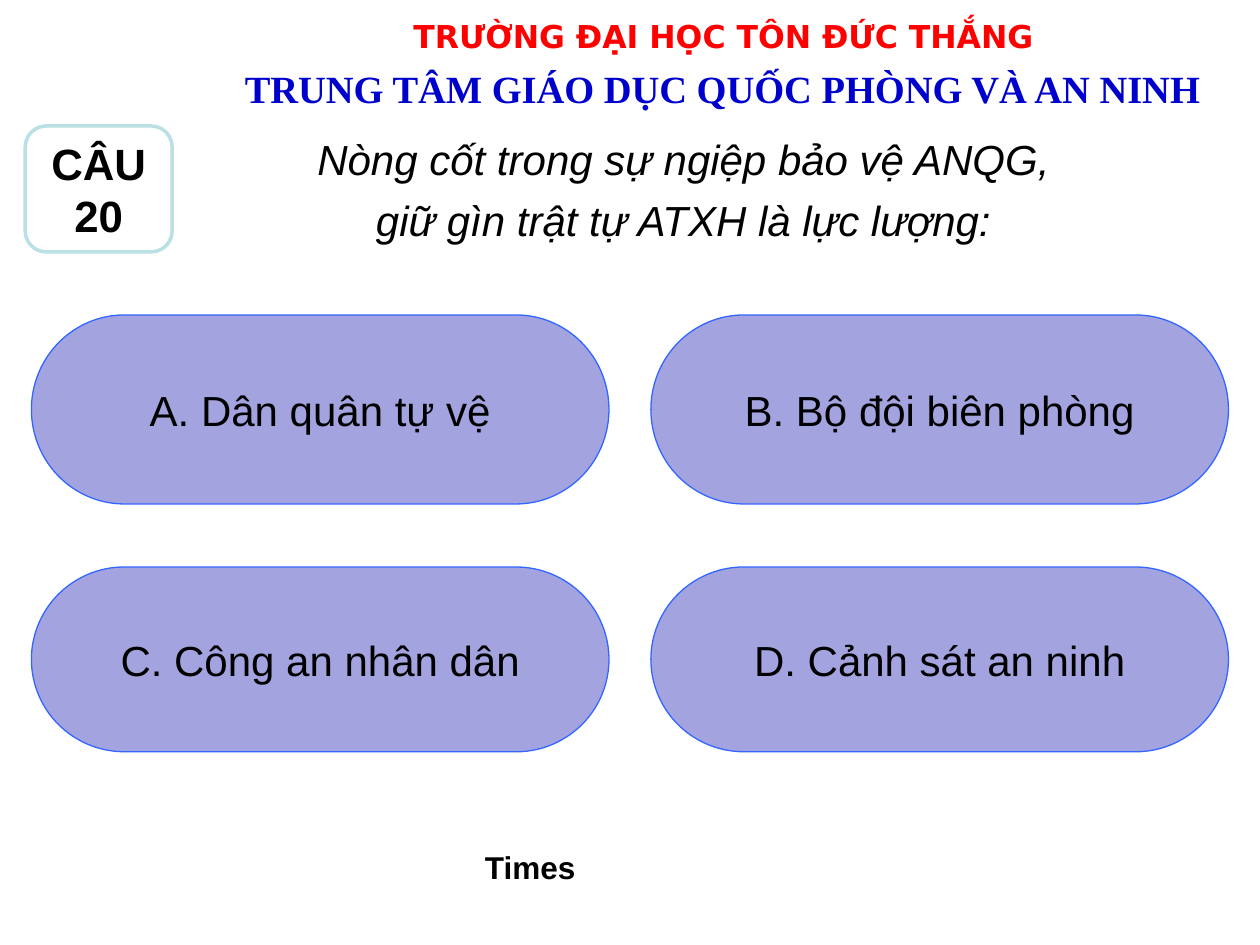
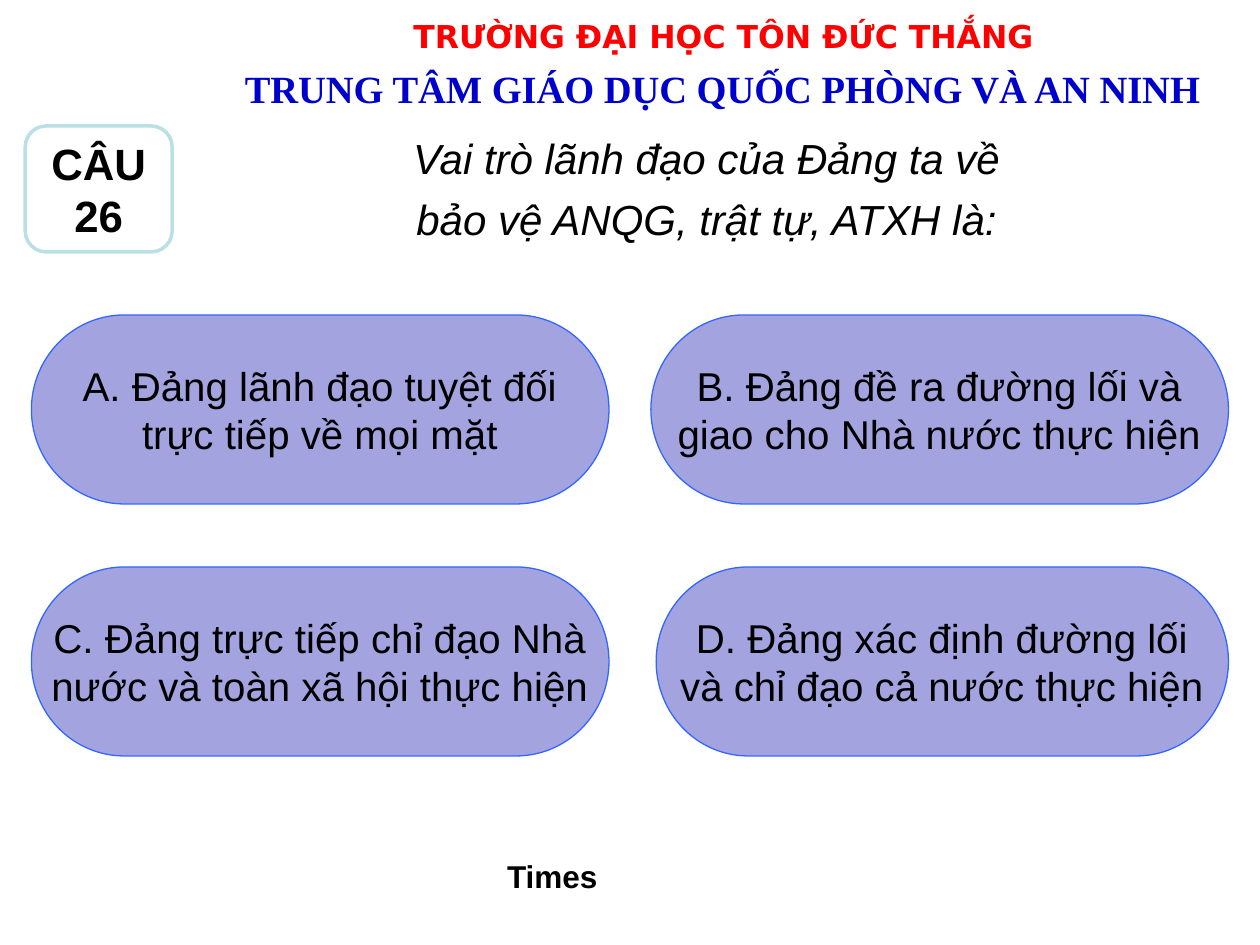
from dataclasses import dataclass

from pptx import Presentation
from pptx.dml.color import RGBColor
from pptx.enum.shapes import MSO_SHAPE
from pptx.enum.text import MSO_ANCHOR, MSO_AUTO_SIZE, PP_ALIGN
from pptx.util import Inches, Pt


@dataclass(frozen=True)
class Theme:
    black: str = "000000"
    white: str = "FFFFFF"
    red: str = "FF0000"
    navy: str = "0000CC"
    lavender: str = "A3A3E0"
    azure: str = "3366FF"
    mint: str = "BBE0E3"
    sans: str = "Arial"
    serif: str = "Times New Roman"
    banner: str = "DejaVu Sans"
    school_size: int = 18
    centre_size: int = 22
    question_size: int = 24
    badge_size: int = 25
    timer_size: int = 18


THEME = Theme()

deck = Presentation()
deck.slide_width, deck.slide_height = Inches(10), Inches(7.5)
COLUMN = deck.slide_width / 120
ROW = deck.slide_height / 90


def place(shape, left, top, width, height):
    shape.left, shape.width = round(left * COLUMN), round(width * COLUMN)
    shape.top, shape.height = round(top * ROW), round(height * ROW)


def write(shape, lines, size, color=THEME.black, font=THEME.sans, bold=False,
          italic=False, wrap=False, anchor=MSO_ANCHOR.TOP, gap=0):
    frame = shape.text_frame
    frame.text = "\n".join(lines)
    frame.auto_size = MSO_AUTO_SIZE.NONE
    frame.word_wrap = wrap
    frame.vertical_anchor = anchor
    for index, para in enumerate(frame.paragraphs):
        para.alignment = PP_ALIGN.CENTER
        para.space_before = Pt(gap if index else 0)
        for span in para.runs:
            span.font.name = font
            span.font.size = Pt(size)
            span.font.bold = bold
            span.font.italic = italic
            span.font.color.rgb = RGBColor.from_string(color)


quizzes = [
    {
        "number": "20",
        "question": ["Nòng cốt trong sự ngiệp bảo vệ ANQG,",
                     "giữ gìn trật tự ATXH là lực lượng:"],
        "question_area": (17.6, 12.1, 95, 11.9),
        "answers": [["A. Dân quân tự vệ"], ["B. Bộ đội biên phòng"],
                    ["C. Công an nhân dân"], ["D. Cảnh sát an ninh"]],
        "answer_size": 24,
        "row_heights": (18, 17.6),
        "last_left": 62,
        "timer_area": (44, 80.2, 13, 4.8),
    },
    {
        "number": "26",
        "question": ["Vai trò lãnh đạo của Đảng ta về",
                     "bảo vệ ANQG, trật tự, ATXH là:"],
        "question_area": (21.8, 12, 91, 11.9),
        "answers": [["A. Đảng lãnh đạo tuyệt đối", "trực tiếp về mọi mặt"],
                    ["B. Đảng đề ra đường lối và", "giao cho Nhà nước thực hiện"],
                    ["C. Đảng trực tiếp chỉ đạo Nhà", "nước và toàn xã hội thực hiện"],
                    ["D. Đảng xác định đường lối", "và chỉ đạo cả nước thực hiện"]],
        "answer_size": 23,
        "row_heights": (18, 18),
        "last_left": 62.5,
        "timer_area": (46, 81, 13.2, 4.8),
    },
]

pages = [deck.slides.add_slide(deck.slide_layouts[5]) for quiz in quizzes]

headers = [
    ("TRƯỜNG ĐẠI HỌC TÔN ĐỨC THẮNG", (24.4, 1, 89, 4),
     THEME.school_size, THEME.red, THEME.banner),
    ("TRUNG TÂM GIÁO DỤC QUỐC PHÒNG VÀ AN NINH", (20.8, 5.6, 96, 3.8),
     THEME.centre_size, THEME.navy, THEME.serif),
]
for index, (line, area, size, color, font) in enumerate(headers):
    header = pages[0].shapes.add_textbox(0, 0, 0, 0)
    place(header, *area)
    write(header, [line], size, color, font, bold=True)
    header.element.nvSpPr.cNvPr.set("id", str(20 + index))
    deck.slide_master.shapes.element.append(header.element)

for page, quiz in zip(pages, quizzes):
    question = page.shapes.title
    place(question, *quiz["question_area"])
    write(question, quiz["question"], THEME.question_size, italic=True, wrap=True, gap=6)

    for index, answer in enumerate(quiz["answers"]):
        row, column = divmod(index, 2)
        left = quiz["last_left"] if index == 3 else 3 + 59 * column
        right = 58 + 59 * column
        pill = page.shapes.add_shape(MSO_SHAPE.FLOWCHART_TERMINATOR, 0, 0, 0, 0)
        place(pill, left, 30 + 24 * row, right - left, quiz["row_heights"][row])
        pill.shadow.inherit = False
        pill.fill.solid()
        pill.fill.fore_color.rgb = RGBColor.from_string(THEME.lavender)
        pill.line.color.rgb = RGBColor.from_string(THEME.azure)
        pill.line.width = Pt(0.75)
        write(pill, answer, quiz["answer_size"], anchor=MSO_ANCHOR.MIDDLE)

    timer = page.shapes.add_textbox(0, 0, 0, 0)
    place(timer, *quiz["timer_area"])
    write(timer, ["Times"], THEME.timer_size, bold=True, wrap=True)

    badge = page.shapes.add_shape(MSO_SHAPE.ROUNDED_RECTANGLE, 0, 0, 0, 0)
    place(badge, 2.4, 12, 14, 12)
    badge.shadow.inherit = False
    badge.fill.solid()
    badge.fill.fore_color.rgb = RGBColor.from_string(THEME.white)
    badge.line.color.rgb = RGBColor.from_string(THEME.mint)
    badge.line.width = Pt(2)
    write(badge, ["CÂU", quiz["number"]], THEME.badge_size, bold=True,
          anchor=MSO_ANCHOR.MIDDLE)

deck.save("out.pptx")
